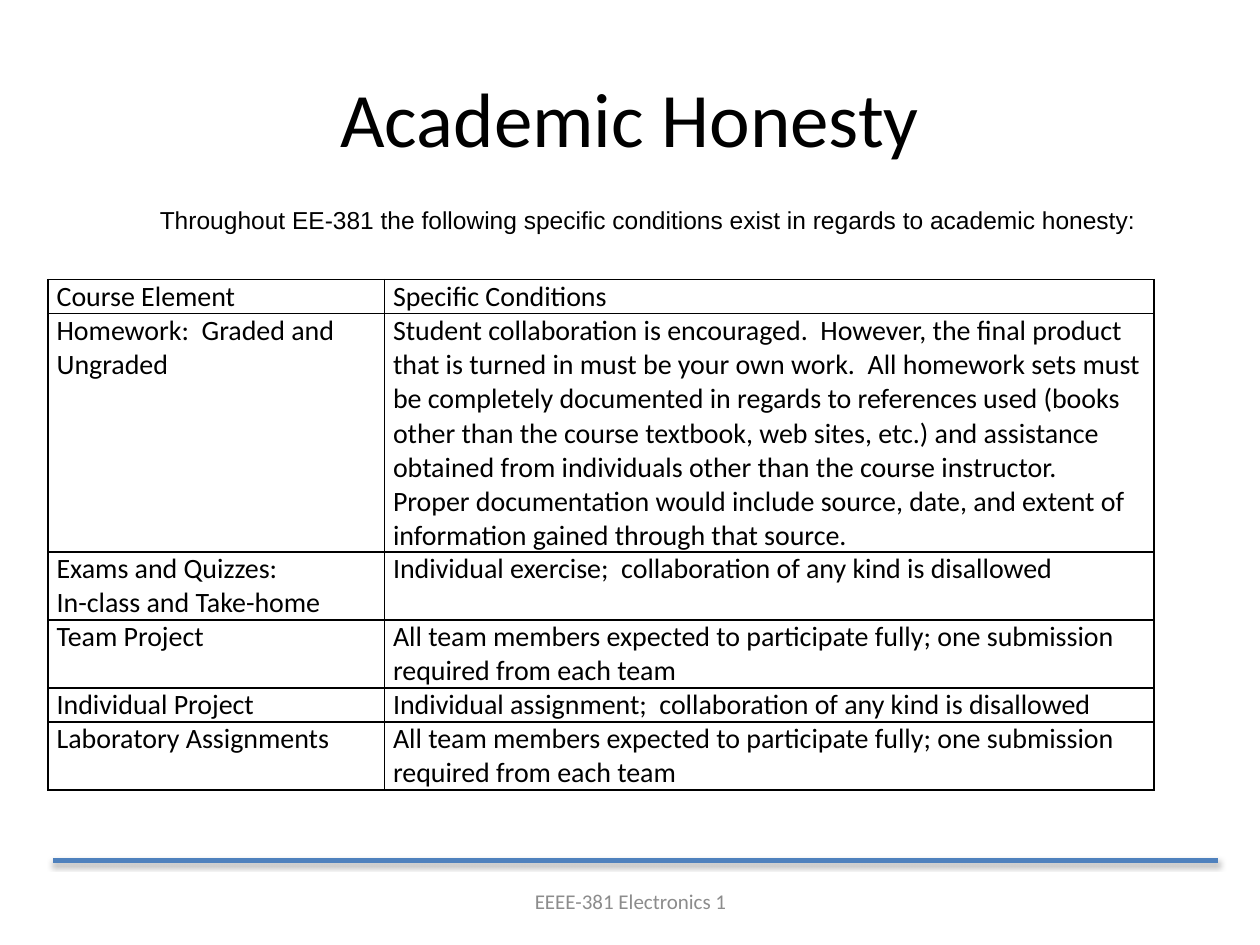
"""Build the Academic Honesty slide with its table of course conditions."""
from lxml import etree
from pptx import Presentation
from pptx import util as u
from pptx.dml.color import RGBColor
from pptx.enum import shapes, text
from pptx.oxml import parse_xml
from pptx.oxml.ns import nsdecls

BLACK = RGBColor(0, 0, 0)
GRAY = RGBColor(0x8C, 0x8C, 0x8C)
BLUE = RGBColor(0x4F, 0x81, 0xBD)

TITLE = "Academic Honesty"
INTRO = "Throughout EE-381 the following specific conditions exist in regards to academic honesty:"
FOOTER = "EEEE-381 Electronics 1"
TEAM_RULE = "All team members expected to participate fully; one submission  required from each team"
CONDITIONS = [
    ("Course Element", "Specific Conditions", 1),
    ("Homework:  Graded and Ungraded",
     "Student collaboration is encouraged.  However, the final product that is turned in "
     "must be your own work.  All homework sets must be completely documented in regards to "
     "references used (books other than the course textbook, web sites, etc.) and assistance "
     "obtained from individuals other than the course instructor.  Proper documentation would "
     "include source, date, and extent of information gained through that source.", 7),
    ("Exams and Quizzes:\nIn-class and Take-home",
     "Individual exercise;  collaboration of any kind is disallowed", 2),
    ("Team Project", TEAM_RULE, 2),
    ("Individual Project", "Individual assignment;  collaboration of any kind is disallowed", 1),
    ("Laboratory Assignments", TEAM_RULE, 2),
]
COLUMNS = (2.67, 6.11)
LINE_HEIGHT = 0.27


def write(frame, words, size, font="Calibri", color=BLACK, align=text.PP_ALIGN.LEFT):
    frame.word_wrap = True
    frame.text = words
    for paragraph in frame.paragraphs:
        paragraph.alignment = align
        paragraph.font.size = u.Pt(size)
        paragraph.font.name = font
        paragraph.font.color.rgb = color


def add_text(slide, box, words, size, anchor=text.MSO_ANCHOR.MIDDLE, **style):
    frame = slide.shapes.add_textbox(*map(u.Inches, box)).text_frame
    frame.vertical_anchor = anchor
    write(frame, words, size, **style)


def add_rule(slide):
    rule = slide.shapes.add_connector(
        shapes.MSO_CONNECTOR.STRAIGHT, *map(u.Inches, (0.42, 6.83, 9.67, 6.83)))
    rule.line.color.rgb = BLUE
    rule.line.width = u.Pt(3)
    rule._element.spPr.append(parse_xml(
        f'<a:effectLst {nsdecls("a")}><a:outerShdw blurRad="{u.Pt(3.1)}" dist="{u.Pt(1.8)}" '
        'dir="5400000" rotWithShape="0"><a:srgbClr val="000000"><a:alpha val="35000"/>'
        '</a:srgbClr></a:outerShdw></a:effectLst>'))


def format_cell(cell):
    cell.margin_left = cell.margin_right = u.Inches(0.07)
    cell.margin_top = cell.margin_bottom = 0
    cell.fill.background()
    properties = cell._tc.get_or_add_tcPr()
    for position, side in enumerate("LRTB"):
        border = parse_xml(
            f'<a:ln{side} {nsdecls("a")} w="{u.Pt(1)}"><a:solidFill/></a:ln{side}>')
        etree.SubElement(border[0], border[0].tag.replace("solidFill", "srgbClr"), val=str(BLACK))
        properties.insert(position, border)


def add_conditions(slide):
    height = LINE_HEIGHT * sum(lines for *_, lines in CONDITIONS)
    table = slide.shapes.add_table(
        len(CONDITIONS), len(COLUMNS),
        *map(u.Inches, (0.38, 2.22, sum(COLUMNS), height))).table
    table.first_row = table.horz_banding = False
    for column, width in zip(table.columns, COLUMNS):
        column.width = u.Inches(width)
    for row, (*entries, lines) in zip(table.rows, CONDITIONS):
        row.height = u.Inches(LINE_HEIGHT * lines)
        for cell, words in zip(row.cells, entries):
            format_cell(cell)
            write(cell.text_frame, words, 16)


def main():
    deck = Presentation()
    deck.slide_width, deck.slide_height = u.Inches(10), u.Inches(7.5)
    slide = deck.slides.add_slide(deck.slide_layouts[6])
    add_rule(slide)
    add_text(slide, (0.5, 0.3, 9, 1.25), TITLE, 44, align=text.PP_ALIGN.CENTER)
    add_conditions(slide)
    add_text(slide, (1.17, 1.58, 8, 0.88), INTRO, 14, font="Arial", anchor=text.MSO_ANCHOR.TOP)
    add_text(slide, (3.42, 6.95, 3.17, 0.4), FOOTER, 12, color=GRAY, align=text.PP_ALIGN.CENTER)
    deck.save("out.pptx")


if __name__ == "__main__":
    main()
